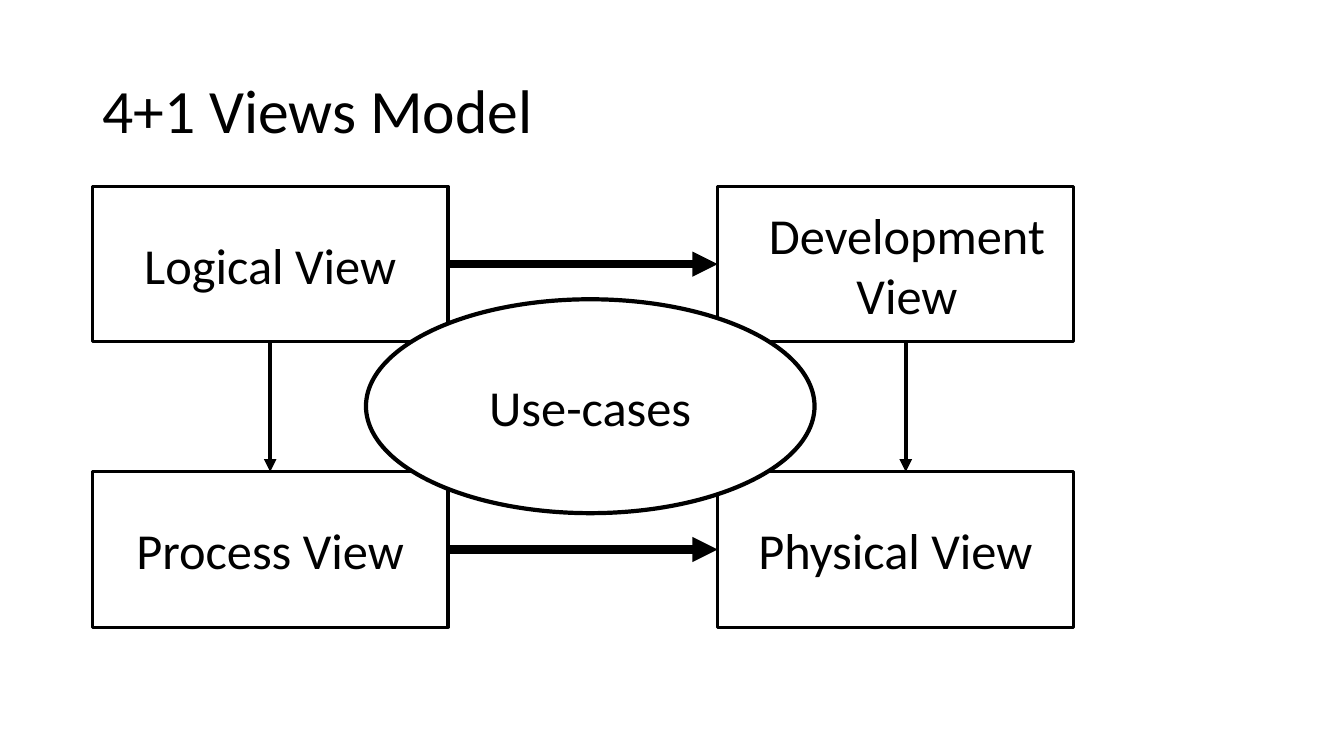
from dataclasses import dataclass

from lxml import etree
from pptx import Presentation
from pptx.dml.color import RGBColor
from pptx.enum.shapes import MSO_CONNECTOR, MSO_SHAPE
from pptx.enum.text import MSO_ANCHOR, MSO_AUTO_SIZE, PP_ALIGN
from pptx.oxml.ns import qn
from pptx.util import Pt

RECT, OVAL = MSO_SHAPE.RECTANGLE, MSO_SHAPE.OVAL
LINE = MSO_CONNECTOR.STRAIGHT
MIDDLE = MSO_ANCHOR.MIDDLE
LEFT, CENTER = PP_ALIGN.LEFT, PP_ALIGN.CENTER


@dataclass
class Theme:
    font: str = "Calibri"
    ink: RGBColor = RGBColor(0, 0, 0)
    paper: RGBColor = RGBColor(255, 255, 255)
    title: int = 44
    label: int = 36


theme = Theme()


def write(shape, text, size, align):
    frame = shape.text_frame
    frame.text = text
    frame.word_wrap = True
    frame.auto_size = MSO_AUTO_SIZE.NONE
    frame.vertical_anchor = MIDDLE
    for para in frame.paragraphs:
        para.alignment = align
        para.font.name = theme.font
        para.font.size = Pt(size)
        para.font.color.rgb = theme.ink
    return frame


def draw(kind, x, y, w, h, weight, text):
    shape = slide.shapes.add_shape(kind, Pt(x), Pt(y), Pt(w), Pt(h))
    shape.shadow.inherit = False
    shape.line.color.rgb = theme.ink
    shape.line.width = Pt(weight)
    write(shape, text, theme.label, CENTER)
    return shape


deck = Presentation()
deck.slide_width, deck.slide_height = Pt(960), Pt(540)
slide = deck.slides.add_slide(deck.slide_layouts[5])

# Title
title = slide.shapes.title
title.left, title.top, title.width, title.height = Pt(66), Pt(28.75), Pt(828), Pt(104.4)
frame = write(title, "4+1 Views Model", theme.title, LEFT)
frame.paragraphs[0].line_spacing = 0.9

# Four views on a two by two grid
wide, high = 254, 111
cols, rows = (66, 512.6), (133.2, 337)
views = (("Logical View", "Development\nView"), ("Process View", "Physical View"))
for y, names in zip(rows, views):
    for x, name in zip(cols, names):
        box = draw(RECT, x, y, wide, high, 2.25, name)
        box.fill.background()
        if name.startswith("Development"):
            box.text_frame.margin_left = Pt(23.6)  # sits right of centre

# Arrows: thick ones across, thin ones down
across = [(cols[0] + wide, y + high / 2, cols[1], y + high / 2, 6) for y in rows]
down = [(x, rows[0] + high, x, rows[1], 3) for x in (cols[0] + wide / 2, 647)]
for x1, y1, x2, y2, weight in across + down:
    arrow = slide.shapes.add_connector(LINE, Pt(x1), Pt(y1), Pt(x2), Pt(y2))
    arrow.line.color.rgb = theme.ink
    arrow.line.width = Pt(weight)
    etree.SubElement(arrow.line._get_or_add_ln(), qn("a:tailEnd"), type="triangle")
    etree.SubElement(arrow._element.spPr, qn("a:effectLst"))

# Use cases in the middle
cases = draw(OVAL, 261.4, 213.8, 320.4, 152.8, 3, "Use-cases")
cases.fill.solid()
cases.fill.fore_color.rgb = theme.paper

deck.save("out.pptx")
